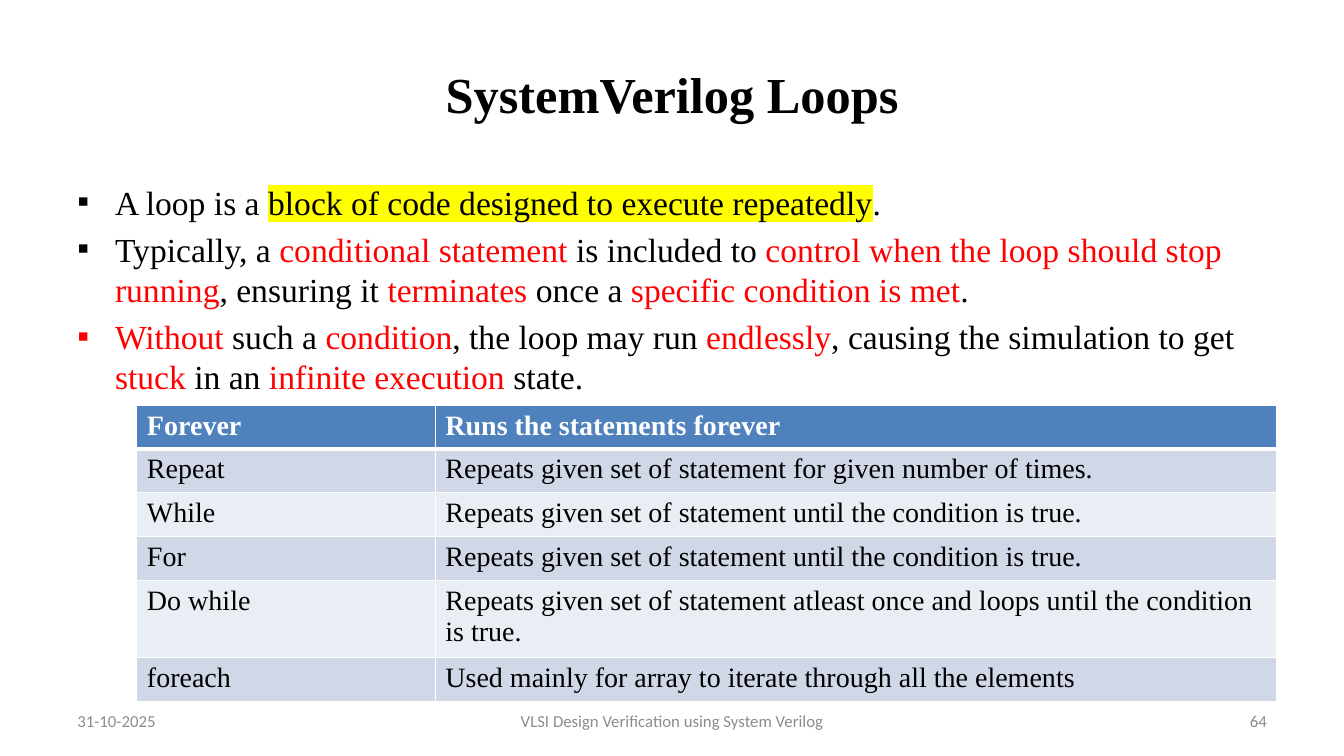
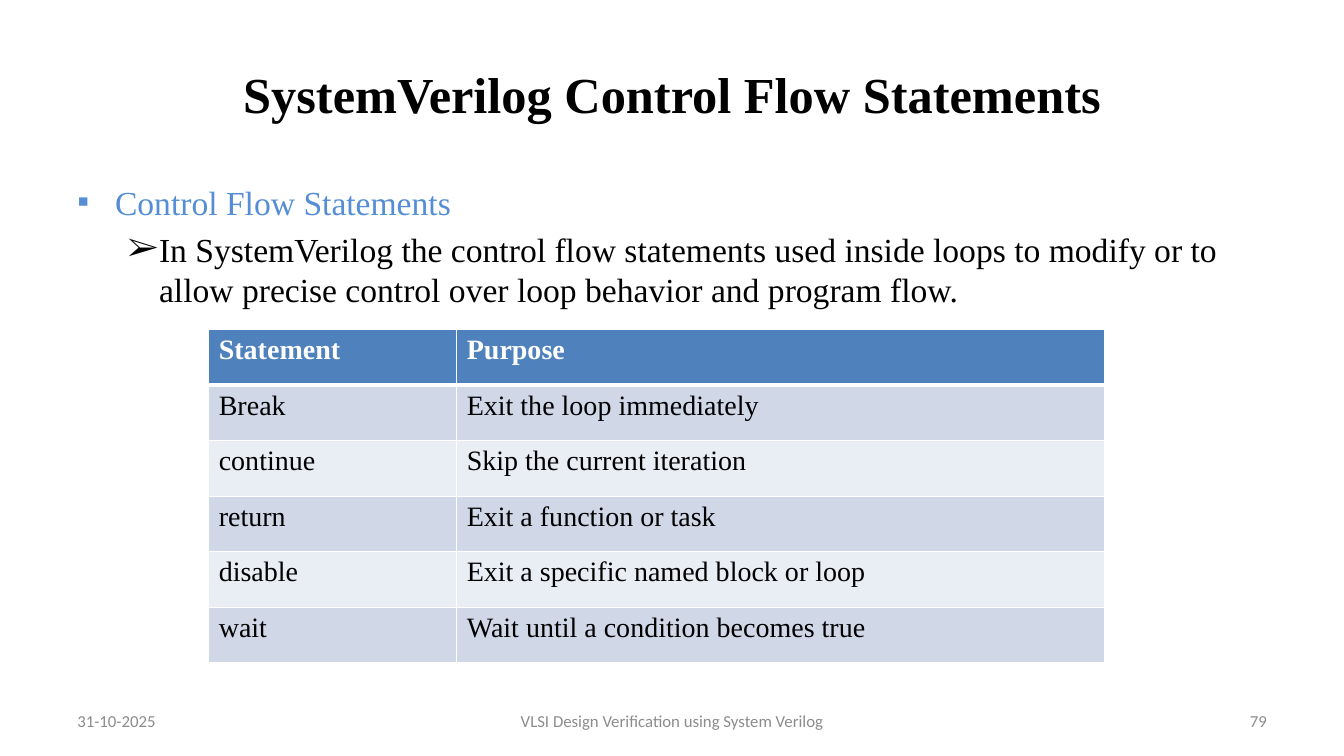
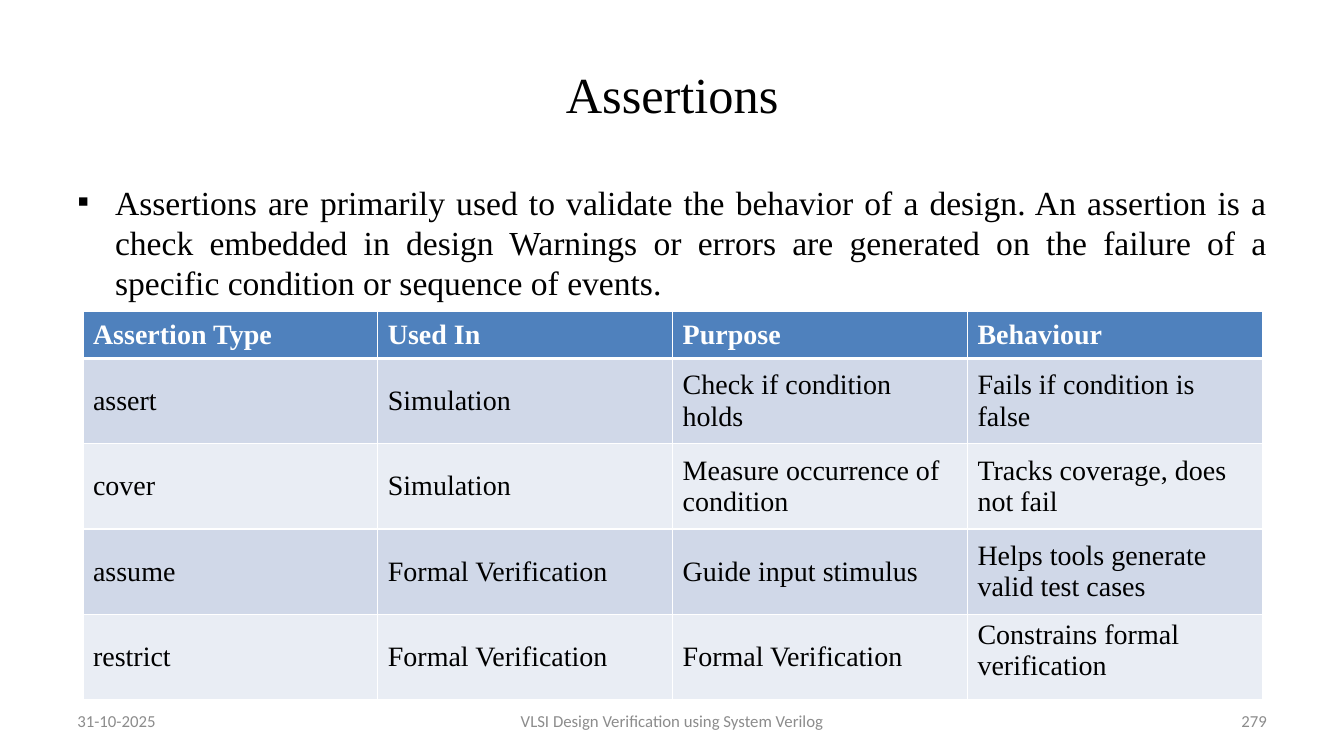
from dataclasses import dataclass

from lxml import etree
from pptx import Presentation
from pptx.dml.color import RGBColor
from pptx.enum.text import MSO_ANCHOR, PP_ALIGN
from pptx.oxml.ns import qn
from pptx.util import Cm, Pt

LEFT, CENTER, RIGHT, FULL = PP_ALIGN.LEFT, PP_ALIGN.CENTER, PP_ALIGN.RIGHT, PP_ALIGN.JUSTIFY
TOP, MIDDLE = MSO_ANCHOR.TOP, MSO_ANCHOR.MIDDLE


@dataclass(frozen=True)
class Theme:
    serif: str = "Times New Roman"
    sans: str = "Calibri"
    black: str = "000000"
    white: str = "FFFFFF"
    red: str = "FF0000"
    yellow: str = "FFFF00"
    blue: str = "558ED5"
    gray: str = "8C8C8C"
    head: str = "4F81BD"
    bands: tuple[str, str] = ("D0D8E8", "E9EDF4")
    title: int = 36
    body: int = 24
    cell: int = 20
    foot: int = 12
    gap: float = 4.8
    thin: int = 1
    thick: int = 3


THEME = Theme()
DATE = "31-10-2025"
COURSE = "VLSI Design Verification using System Verilog"


@dataclass(frozen=True)
class Box:
    left: float
    top: float
    width: float
    height: float


@dataclass(frozen=True)
class Bullet:
    mark: str
    left: float
    hang: float


@dataclass(frozen=True)
class Item:
    """A bullet point; parts between asterisks are stressed."""
    text: str
    color: str = THEME.black
    stress: str = THEME.red
    glow: str | None = None
    level: int = 0
    align: PP_ALIGN = LEFT


@dataclass(frozen=True)
class Grid:
    left: float
    top: float
    cols: list[float]
    rows: list[list[str]]
    head: float
    row: float
    anchor: MSO_ANCHOR = TOP


@dataclass(frozen=True)
class Page:
    title: str
    number: int
    items: list[Item]
    grid: Grid
    bold: bool = True


TITLE = Box(1.7, 0.76, 30.48, 3.18)
BODY = Box(1.7, 4.45, 30.48, 12.57)
FEET = [
    (Box(1.7, 17.65, 7.9, 1.01), LEFT),
    (Box(11.58, 17.65, 10.72, 1.01), CENTER),
    (Box(24.28, 17.65, 7.9, 1.01), RIGHT),
]
BULLETS = [Bullet("▪", 0.95, 0.95), Bullet("➢", 2.06, 0.79)]

PAGES = [
    Page(
        "SystemVerilog Loops", 64,
        [
            Item("A loop is a *block of code designed to execute repeatedly*.",
                 stress=THEME.black, glow=THEME.yellow),
            Item("Typically, a *conditional statement *is included to "
                 "*control when the loop should stop running*, ensuring it "
                 "*terminates* once a *specific condition is met*."),
            Item("*Without* such a *condition*, the loop may run *endlessly*, "
                 "causing the simulation to get *stuck* in an "
                 "*infinite execution* state."),
        ],
        Grid(3.45, 10.21, [7.52, 21.21], [
            ["Forever", "Runs the statements forever"],
            ["Repeat", "Repeats given set of statement for given number of times."],
            ["While", "Repeats given set of statement until the condition is true."],
            ["For", "Repeats given set of statement until the condition is true."],
            ["Do while", "Repeats given set of statement atleast once and loops "
                         "until the condition is true."],
            ["foreach", "Used mainly for array to iterate through all the elements"],
        ], head=1.04, row=1.04),
    ),
    Page(
        "SystemVerilog Control Flow Statements", 79,
        [
            Item("Control Flow Statements", color=THEME.blue),
            Item("In SystemVerilog the control flow statements used inside loops "
                 "to modify or to allow precise control over loop behavior and "
                 "program flow.", level=1),
        ],
        Grid(5.26, 8.31, [6.25, 16.33], [
            ["Statement", "Purpose"],
            ["Break", "Exit the loop immediately"],
            ["continue", "Skip the current iteration"],
            ["return", "Exit a function or task"],
            ["disable", "Exit a specific named block or loop"],
            ["wait", "Wait until a condition becomes true"],
        ], head=1.4, row=1.4),
    ),
    Page(
        "Assertions", 279,
        [
            Item("Assertions are primarily used to validate the behavior of a "
                 "design. An assertion is a check embedded in design Warnings or "
                 "errors are generated on the failure of a specific condition or "
                 "sequence of events.", align=FULL),
        ],
        Grid(2.09, 7.85, [7.43] * 4, [
            ["Assertion Type", "Used In", "Purpose", "Behaviour"],
            ["assert", "Simulation", "Check if condition holds",
             "Fails if condition is false"],
            ["cover", "Simulation", "Measure occurrence of condition",
             "Tracks coverage, does not fail"],
            ["assume", "Formal Verification", "Guide input stimulus",
             "Helps tools generate valid test cases"],
            ["restrict", "Formal Verification", "Formal Verification",
             "Constrains formal verification"],
        ], head=1.18, row=2.15, anchor=MIDDLE),
        bold=False,
    ),
]


def tint(parent, tag: str, color: str) -> None:
    node = etree.SubElement(parent, qn(tag))
    etree.SubElement(node, qn("a:srgbClr"), val=color)


def write(para, text: str, *, size: int, color: str = THEME.black,
          font: str = THEME.serif, bold: bool = False,
          glow: str | None = None, align: PP_ALIGN = LEFT) -> None:
    """Add one run to a paragraph; glow is its highlight colour."""
    para.alignment = align
    run = para.add_run()
    run.text = text
    run.font.size = Pt(size)
    run.font.bold = bold
    run.font.color.rgb = RGBColor.from_string(color)
    if glow:
        tint(run.font._element, "a:highlight", glow)
    run.font.name = font


def frame(slide, box: Box, anchor: MSO_ANCHOR = MIDDLE):
    shape = slide.shapes.add_textbox(
        Cm(box.left), Cm(box.top), Cm(box.width), Cm(box.height))
    text = shape.text_frame
    text.word_wrap = True
    text.vertical_anchor = anchor
    return text


def dot(para, bullet: Bullet, color: str) -> None:
    """Give a paragraph its bullet and hanging indent."""
    props = para._p.get_or_add_pPr()
    props.set("marL", str(Cm(bullet.left)))
    props.set("indent", str(-Cm(bullet.hang)))
    tint(props, "a:buClr", color)
    etree.SubElement(props, qn("a:buFont"), typeface=THEME.serif)
    etree.SubElement(props, qn("a:buChar"), char=bullet.mark)


def fill_body(slide, items: list[Item]) -> None:
    text = frame(slide, BODY, TOP)
    for i, item in enumerate(items):
        para = text.add_paragraph() if i else text.paragraphs[0]
        parts = item.text.split("*")
        dot(para, BULLETS[item.level], item.color if parts[0] else item.stress)
        para.level = item.level
        if i:
            para.space_before = Pt(THEME.gap)
        for j, part in enumerate(parts):
            if part:
                odd = j % 2 == 1
                write(para, part, size=THEME.body, align=item.align,
                      color=item.stress if odd else item.color,
                      glow=item.glow if odd else None)


def edge(cell, top: int, base: int) -> None:
    """Draw the four borders of a cell, before its fill is set."""
    props = cell._tc.get_or_add_tcPr()
    sides = {"L": THEME.thin, "R": THEME.thin, "T": top, "B": base}
    for side, width in sides.items():
        line = etree.SubElement(props, qn(f"a:ln{side}"), w=str(Pt(width)))
        tint(line, "a:solidFill", THEME.white)


def draw_grid(slide, grid: Grid) -> None:
    count = len(grid.rows)
    high = grid.head + grid.row * (count - 1)
    table = slide.shapes.add_table(
        count, len(grid.cols), Cm(grid.left), Cm(grid.top),
        Cm(sum(grid.cols)), Cm(high)).table
    table.horz_banding = False
    for col, width in zip(table.columns, grid.cols):
        col.width = Cm(width)
    for r, row in enumerate(grid.rows):
        head = r == 0
        table.rows[r].height = Cm(grid.head if head else grid.row)
        for c, text in enumerate(row):
            cell = table.cell(r, c)
            edge(cell, THEME.thick if r == 1 else THEME.thin,
                 THEME.thick if head else THEME.thin)
            cell.fill.solid()
            shade = THEME.head if head else THEME.bands[(r - 1) % 2]
            cell.fill.fore_color.rgb = RGBColor.from_string(shade)
            cell.vertical_anchor = grid.anchor
            write(cell.text_frame.paragraphs[0], text, size=THEME.cell,
                  color=THEME.white if head else THEME.black, bold=head)
    table.cell(count - 1, len(grid.cols) - 1).vertical_anchor = TOP


def draw_page(deck, page: Page) -> None:
    slide = deck.slides.add_slide(deck.slide_layouts[6])
    write(frame(slide, TITLE).paragraphs[0], page.title, size=THEME.title,
          bold=page.bold, align=CENTER)
    fill_body(slide, page.items)
    for (box, align), text in zip(FEET, (DATE, COURSE, str(page.number))):
        write(frame(slide, box).paragraphs[0], text, size=THEME.foot,
              color=THEME.gray, font=THEME.sans, align=align)
    draw_grid(slide, page.grid)


def main() -> None:
    deck = Presentation()
    deck.slide_width, deck.slide_height = Cm(33.87), Cm(19.05)
    for page in PAGES:
        draw_page(deck, page)
    deck.save("out.pptx")


if __name__ == "__main__":
    main()
